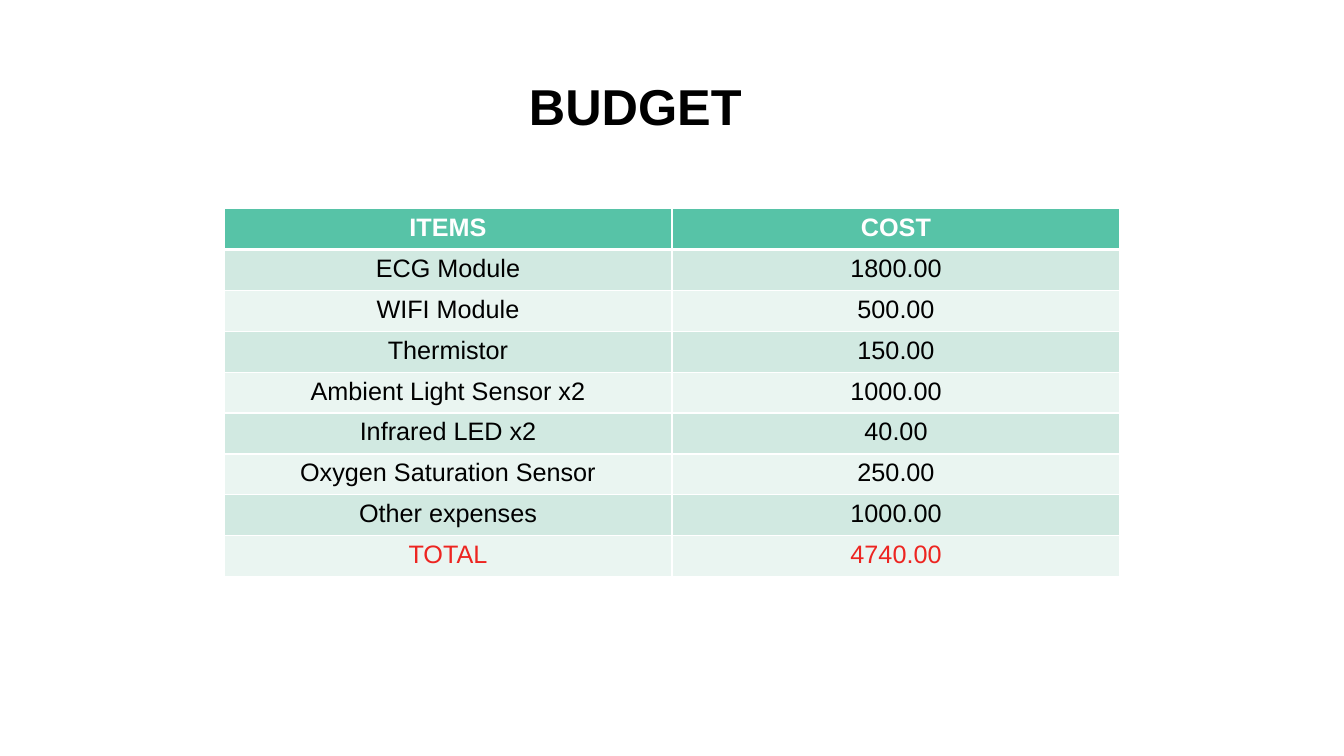
import pptx
import pptx.util
import pptx.dml.color
import pptx.enum.text
import pptx.oxml.ns
from lxml import etree

RGBColor = pptx.dml.color.RGBColor
BLACK = RGBColor(0x00, 0x00, 0x00)
WHITE = RGBColor(0xFF, 0xFF, 0xFF)
RED = RGBColor(0xED, 0x25, 0x21)
HEADER_GREEN = RGBColor(0x57, 0xC3, 0xA7)
BANDS = [RGBColor(0xD1, 0xE9, 0xE1), RGBColor(0xEA, 0xF5, 0xF1)]

FONT = "Arial"
SLIDE_W = pptx.util.Inches(13.33)
SLIDE_H = pptx.util.Inches(7.5)

BUDGET = [
    ("ITEMS", "COST"),
    ("ECG Module", "1800.00"),
    ("WIFI Module", "500.00"),
    ("Thermistor", "150.00"),
    ("Ambient Light Sensor x2", "1000.00"),
    ("Infrared LED x2", "40.00"),
    ("Oxygen Saturation Sensor", "250.00"),
    ("Other expenses", "1000.00"),
    ("TOTAL", "4740.00"),
]


def format_text(p, size, color, bold, align):
    p.alignment = align
    for r in p.runs:
        r.font.name = FONT
        r.font.size = pptx.util.Pt(size)
        r.font.bold = bold
        r.font.color.rgb = color


def set_borders(cell, widths):
    """Draw white cell borders; widths maps a side (L, R, T, B) to points."""
    qn = pptx.oxml.ns.qn
    tc_pr = cell._tc.get_or_add_tcPr()
    for i, (side, width) in enumerate(widths.items()):
        ln = etree.Element(qn(f"a:ln{side}"), w=str(pptx.util.Pt(width)))
        fill = etree.SubElement(ln, qn("a:solidFill"))
        etree.SubElement(fill, qn("a:srgbClr"), val=str(WHITE))
        tc_pr.insert(i, ln)


def add_title(s, text):
    title = s.shapes.title
    title.left, title.top = int(SLIDE_W * 0.386), int(SLIDE_H * 0.092)
    title.width, title.height = int(SLIDE_W * 0.395), int(SLIDE_H * 0.094)
    tf = title.text_frame
    tf.text = text
    tf.word_wrap = True
    tf.auto_size = pptx.enum.text.MSO_AUTO_SIZE.NONE
    tf.vertical_anchor = pptx.enum.text.MSO_ANCHOR.TOP
    format_text(tf.paragraphs[0], 36, BLACK, True, pptx.enum.text.PP_ALIGN.LEFT)
    tf.paragraphs[0].line_spacing = 1.0


def add_budget_table(s, rows):
    # The table spans the middle two thirds of the slide
    width = SLIDE_W * 2 // 3
    row_height = pptx.util.Inches(3.65) // len(rows)
    table = s.shapes.add_table(
        len(rows), len(rows[0]), SLIDE_W // 6, pptx.util.Inches(2.07),
        width, row_height * len(rows)).table
    last = len(rows) - 1
    for i, row in enumerate(rows):
        fill = HEADER_GREEN if i == 0 else BANDS[(i - 1) % 2]
        color = {0: WHITE, last: RED}.get(i, BLACK)
        borders = {"L": 1, "R": 1, "T": 3 if i == 1 else 1, "B": 3 if i == 0 else 1}
        for j, text in enumerate(row):
            cell = table.cell(i, j)
            cell.text_frame.text = text
            format_text(cell.text_frame.paragraphs[0], 18, color, i == 0,
                        pptx.enum.text.PP_ALIGN.CENTER)
            cell.fill.solid()
            cell.fill.fore_color.rgb = fill
            set_borders(cell, borders)


def main():
    prs = pptx.Presentation()
    prs.slide_width, prs.slide_height = SLIDE_W, SLIDE_H
    # Title Only layout
    s = prs.slides.add_slide(prs.slide_layouts[5])
    add_title(s, "BUDGET")
    add_budget_table(s, BUDGET)
    prs.save("out.pptx")


if __name__ == "__main__":
    main()
